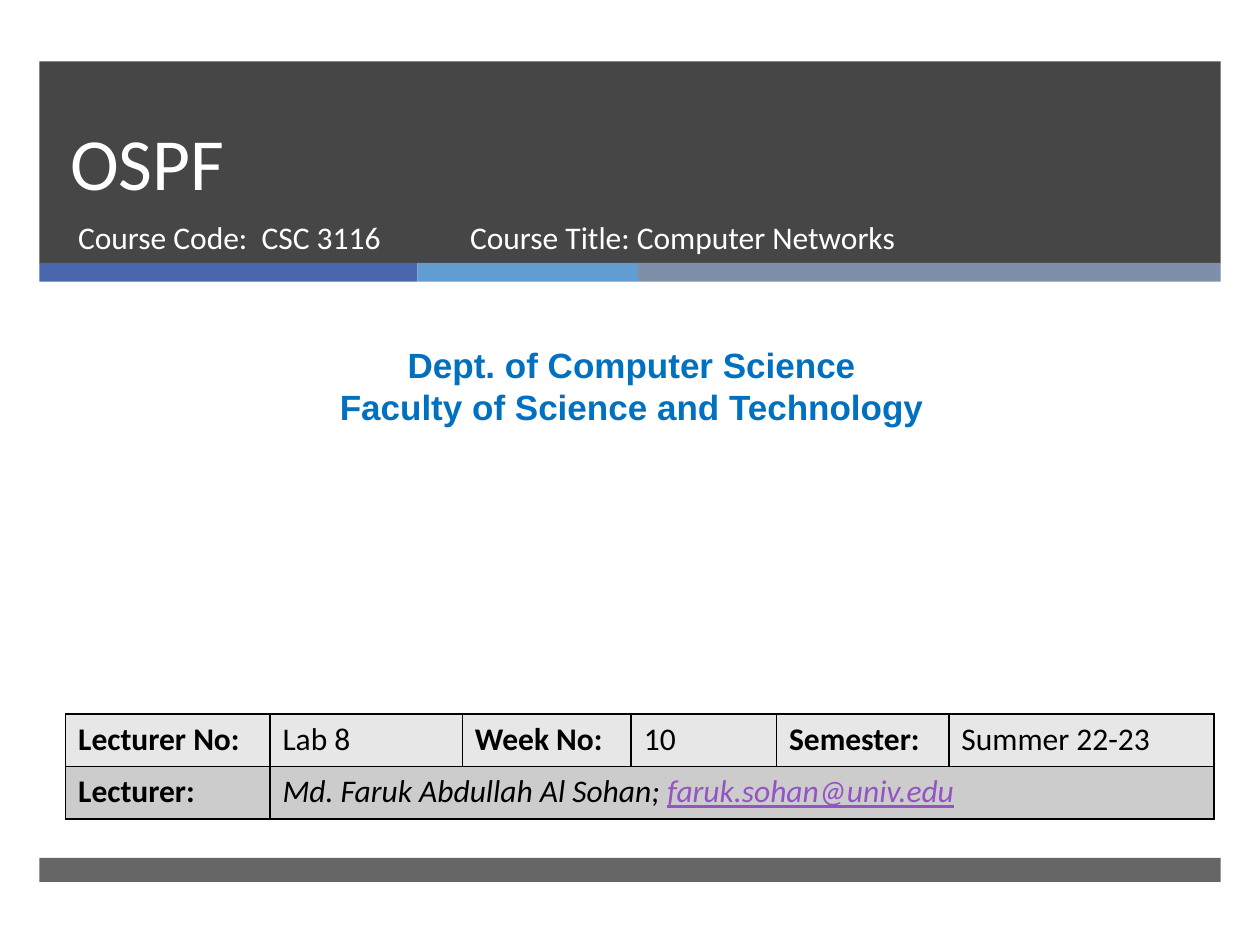
from lxml.etree import SubElement as add_element
from pptx import Presentation
from pptx.dml.color import RGBColor as Color
from pptx.enum.shapes import MSO_SHAPE as Preset
from pptx.enum.text import MSO_ANCHOR as Anchor, PP_ALIGN as Align
from pptx.oxml.ns import qn
from pptx.util import Pt

COLORS = {
    "dark": "262626",
    "blue": "4A66AC",
    "sky": "629DD1",
    "slate": "7F8FA9",
    "white": "FFFFFF",
    "heading": "0070C0",
    "black": "000000",
    "light_row": "E7E7E7",
    "dark_row": "CCCCCC",
    "link": "9454C3",
}


class SlideBuilder:
    def __init__(self, slide, font="Calibri", size=18):
        self.slide = slide
        self.font = font
        self.size = size

    def color(self, name):
        return Color.from_string(COLORS[name])

    def bar(self, left, top, width, height, color, opacity=100):
        shape = self.slide.shapes.add_shape(
            Preset.RECTANGLE, Pt(left), Pt(top), Pt(width), Pt(height))
        shape.shadow.inherit = False
        shape.line.fill.background()
        shape.fill.solid()
        shape.fill.fore_color.rgb = self.color(color)
        if opacity < 100:
            color_element = next(shape.fill._xPr.iter(qn("a:srgbClr")))
            add_element(color_element, qn("a:alpha"), val=str(opacity * 1000))

    def run(self, paragraph, text, color="black", size=None, font=None,
            bold=False, italic=False, underline=False):
        run = paragraph.add_run()
        run.text = text
        run.font.name = font or self.font
        run.font.size = Pt(size or self.size)
        run.font.color.rgb = self.color(color)
        run.font.bold = bold
        run.font.italic = italic
        run.font.underline = underline

    def text(self, left, top, width, height, lines, align=Align.LEFT,
             anchor=Anchor.TOP, line_spacing=None, **style):
        shape = self.slide.shapes.add_textbox(
            Pt(left), Pt(top), Pt(width), Pt(height))
        frame = shape.text_frame
        frame.word_wrap = True
        frame.vertical_anchor = anchor
        for index, line in enumerate(lines):
            paragraph = frame.add_paragraph() if index else frame.paragraphs[0]
            paragraph.alignment = align
            if line_spacing:
                paragraph.line_spacing = Pt(line_spacing)
            self.run(paragraph, line, **style)

    def border(self, cell):
        properties = cell._tc.get_or_add_tcPr()
        for index, side in enumerate(("lnL", "lnR", "lnT", "lnB")):
            line = properties.makeelement(qn(f"a:{side}"), {"w": str(Pt(1))})
            fill = add_element(line, qn("a:solidFill"))
            add_element(fill, qn("a:srgbClr"), val=COLORS["black"])
            properties.insert(index, line)

    def table(self, left, top, column_widths, row_height, rows, fills):
        table = self.slide.shapes.add_table(
            len(rows), len(column_widths), Pt(left), Pt(top),
            Pt(sum(column_widths)), Pt(row_height * len(rows))).table
        for column, width in zip(table.columns, column_widths):
            column.width = Pt(width)
        for row_index, (row, fill) in enumerate(zip(rows, fills)):
            table.rows[row_index].height = Pt(row_height)
            for column_index in range(len(column_widths)):
                cell = table.cell(row_index, column_index)
                cell.fill.solid()
                cell.fill.fore_color.rgb = self.color(fill)
                self.border(cell)
            for column_index, runs in enumerate(row):
                paragraph = table.cell(row_index, column_index).text_frame.paragraphs[0]
                for text, style in runs:
                    self.run(paragraph, text, **style)
            if len(row) < len(column_widths):
                table.cell(row_index, len(row) - 1).merge(
                    table.cell(row_index, len(column_widths) - 1))


def main():
    presentation = Presentation()
    presentation.slide_width, presentation.slide_height = Pt(720), Pt(540)
    builder = SlideBuilder(presentation.slides.add_slide(presentation.slide_layouts[6]))

    margin, content_width = 22.5, 675
    builder.bar(margin, 35, content_width, 115.5, "dark", opacity=85)
    stripe_left = margin
    for width, color in ((216, "blue"), (126, "sky"), (333, "slate")):
        builder.bar(stripe_left, 150.25, width, 10.75, color)
        stripe_left += width
    builder.bar(margin, 490.25, content_width, 13.75, "dark", opacity=70)

    builder.text(33, 35, 615, 86, ["OSPF"], anchor=Anchor.BOTTOM,
                 line_spacing=46, color="white", size=42)
    builder.text(37.5, 121, 220, 38, ["Course Code:  CSC 3116"], color="white")
    builder.text(261.5, 121, 327.5, 38, ["Course Title: Computer Networks"], color="white")
    builder.text(6, 193, 710, 55.5,
                 ["Dept. of Computer Science", "Faculty of Science and Technology"],
                 align=Align.CENTER, color="heading", size=20, font="Arial", bold=True)

    label, value, name = {"bold": True}, {}, {"italic": True}
    email = {"italic": True, "underline": True, "color": "link"}
    details = [("Lecturer No:", "Lab 8"), ("Week No:", "10"), ("Semester:", "Summer 22-23")]
    first_row = [[(text, style)] for pair in details
                 for text, style in zip(pair, (label, value))]
    second_row = [[("Lecturer:", label)],
                  [("Md. Faruk Abdullah Al Sohan; ", name), ("faruk.sohan@univ.edu", email)]]
    builder.table(37.5, 408, [116.75, 110, 96.5, 83, 98.5, 151.5], 30,
                  [first_row, second_row], ["light_row", "dark_row"])

    presentation.save("out.pptx")


if __name__ == "__main__":
    main()
